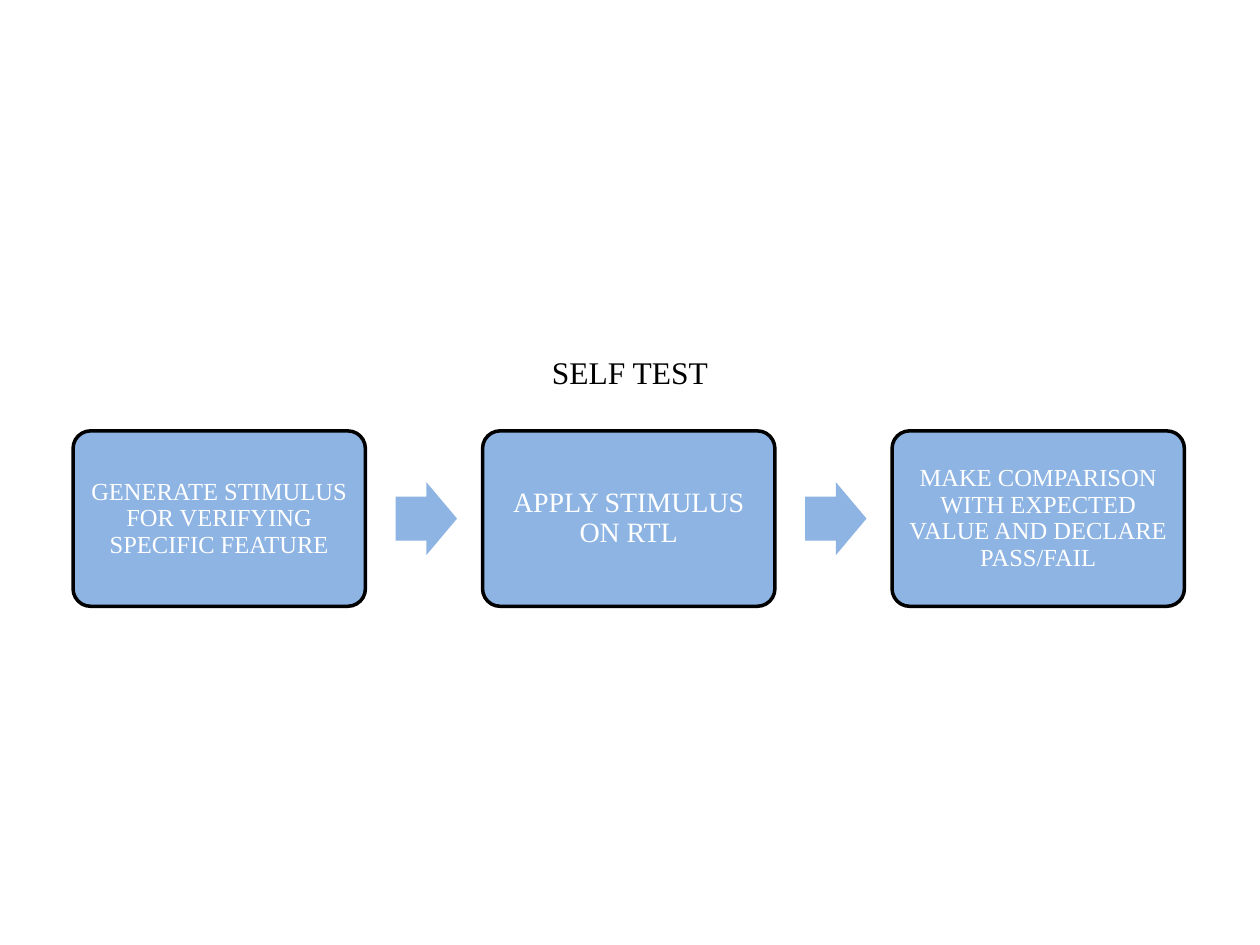
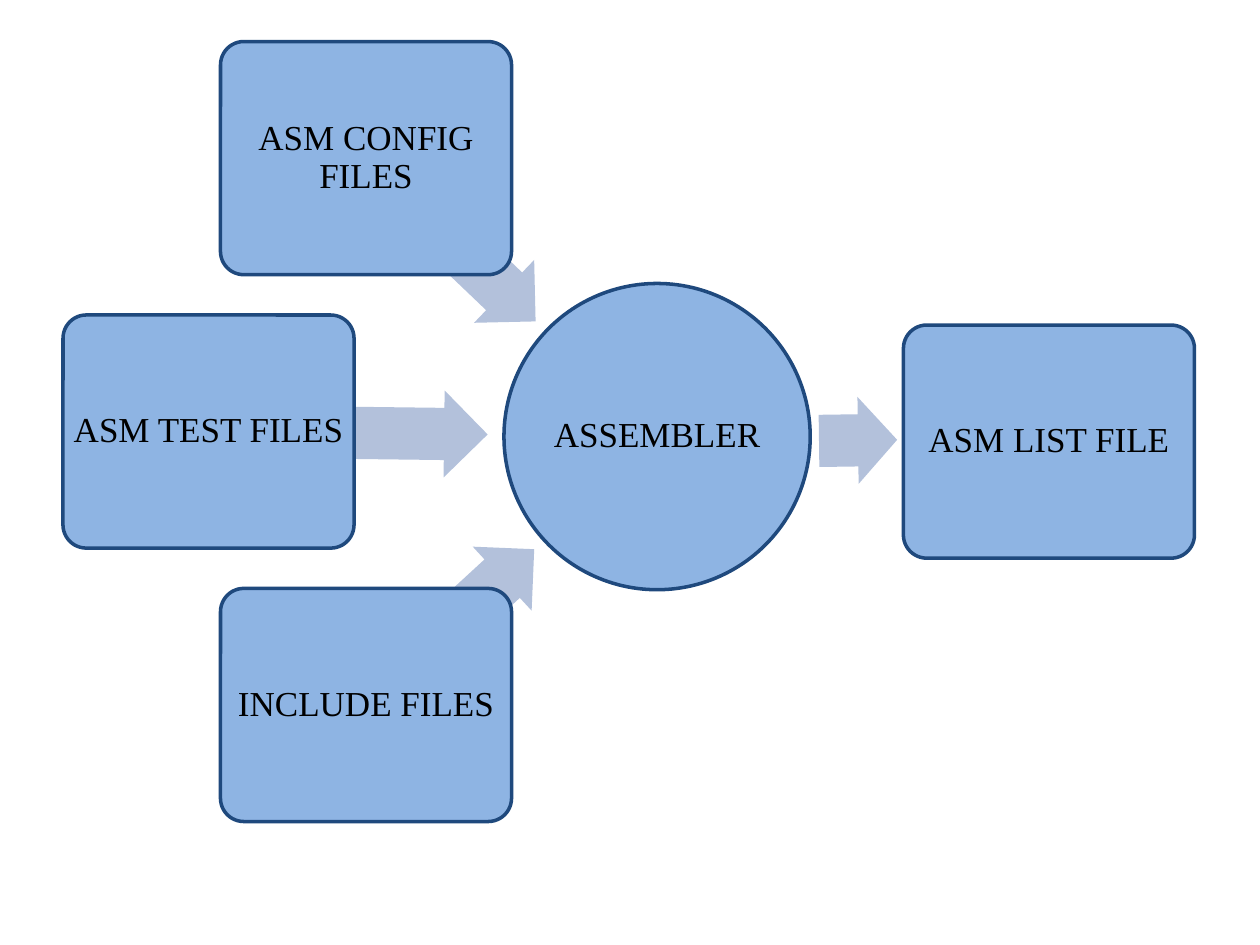
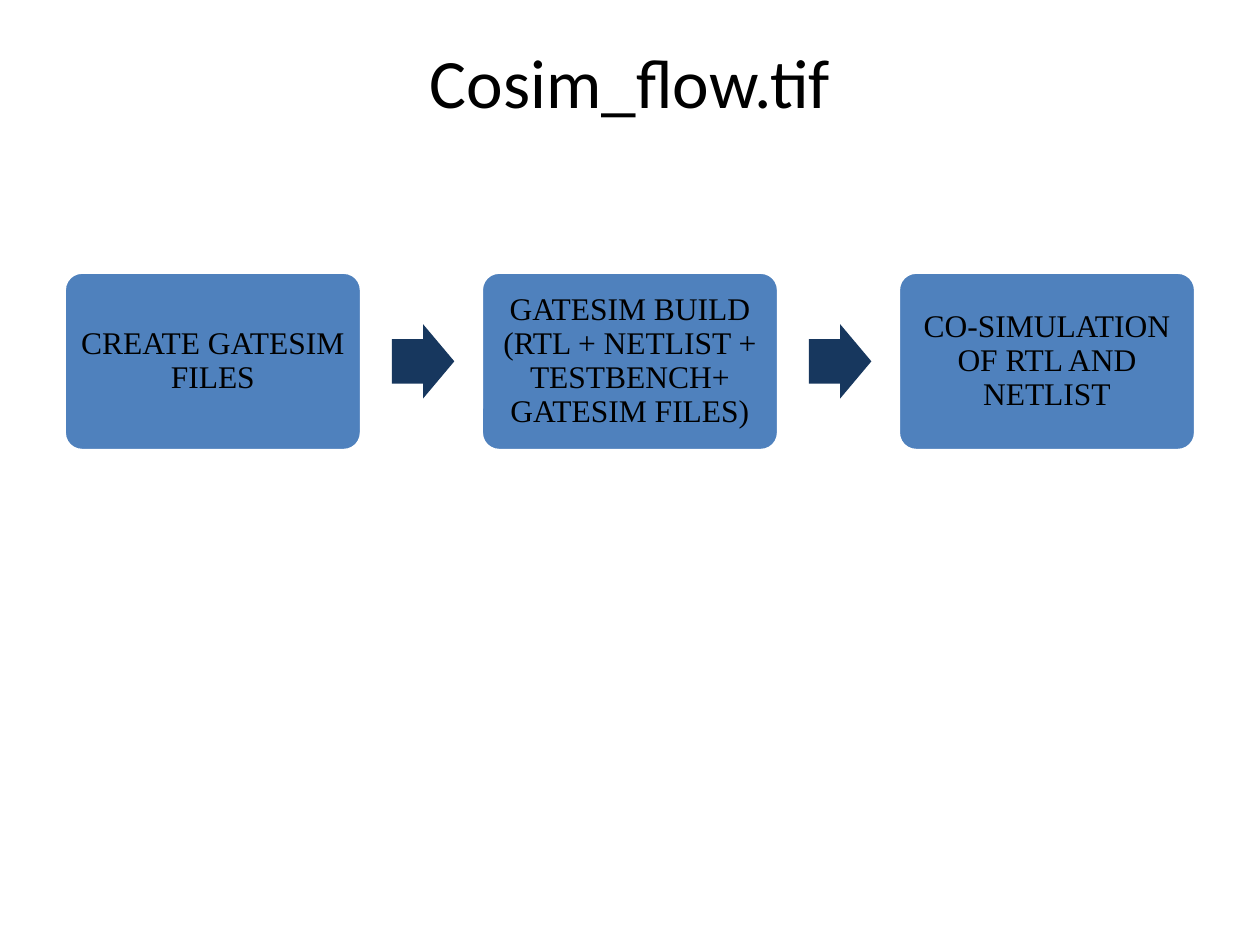
"""Build three flow diagrams: self test, assembler and co-simulation."""
from pptx import Presentation
from pptx.dml.color import RGBColor
from pptx.enum.shapes import MSO_SHAPE
from pptx.enum.text import MSO_ANCHOR, PP_ALIGN
from pptx.util import Pt

ROUNDED = MSO_SHAPE.ROUNDED_RECTANGLE
ELLIPSE = MSO_SHAPE.OVAL
ARROW = MSO_SHAPE.RIGHT_ARROW
MIDDLE = MSO_ANCHOR.MIDDLE
CENTER = PP_ALIGN.CENTER

BLACK, WHITE = "000000", "FFFFFF"
LIGHT_BLUE, BLUE, NAVY, DEEP_NAVY = "8EB4E3", "4F81BD", "1F497D", "17375E"
PALE_BLUE = "B3C1DB"
SERIF, SANS = "Times New Roman", "Calibri"
TITLE_ONLY, BLANK = 5, 6


def color(hex_string):
    return RGBColor.from_string(hex_string)


def add_block(page, kind, left, top, width, height, fill, line=None,
              text="", size=18, ink=BLACK, inset=0, rotation=0):
    block = page.shapes.add_shape(kind, Pt(left), Pt(top), Pt(width), Pt(height))
    block.shadow.inherit = False
    block.rotation = rotation
    block.fill.solid()
    block.fill.fore_color.rgb = color(fill)
    if kind == ROUNDED:
        block.adjustments[0] = 0.1
    if kind == ARROW:
        block.adjustments[0] = 0.6
        block.adjustments[1] = 0.5
    if line:
        block.line.color.rgb = color(line)
        block.line.width = Pt(2)
    else:
        block.line.fill.background()
    if text:
        frame = block.text_frame
        frame.word_wrap = True
        frame.vertical_anchor = MIDDLE
        frame.margin_left = frame.margin_right = Pt(inset)
        frame.margin_top = frame.margin_bottom = Pt(inset)
        para = frame.paragraphs[0]
        para.text = text
        para.alignment = CENTER
        para.line_spacing = 0.9
        para.font.name = SERIF
        para.font.size = Pt(size)
        para.font.color.rgb = color(ink)


deck = Presentation()
deck.slide_width = Pt(720)
deck.slide_height = Pt(540)
self_test = deck.slides.add_slide(deck.slide_layouts[BLANK])
assembler = deck.slides.add_slide(deck.slide_layouts[BLANK])
cosim = deck.slides.add_slide(deck.slide_layouts[TITLE_ONLY])

flows = [
    (self_test, 41.76, 246.24, 167.04, 234, LIGHT_BLUE, BLACK, LIGHT_BLUE, WHITE, [
        ("GENERATE STIMULUS FOR VERIFYING SPECIFIC FEATURE", 14),
        ("APPLY STIMULUS ON RTL", 16),
        ("MAKE COMPARISON WITH EXPECTED VALUE AND DECLARE PASS/FAIL", 14)]),
    (cosim, 36.72, 155.52, 169.92, 238.32, BLUE, WHITE, DEEP_NAVY, BLACK, [
        ("CREATE GATESIM FILES", 18),
        ("GATESIM BUILD (RTL + NETLIST + TESTBENCH+ GATESIM FILES)", 18),
        ("CO-SIMULATION OF RTL AND NETLIST", 18)]),
]
for page, first_left, top, width, step, fill, line, arrow_fill, ink, stages in flows:
    height = 0.6 * width
    arrow_width, arrow_height = 0.21 * width, 0.25 * width
    for index, (text, size) in enumerate(stages):
        left = first_left + index * step
        if index:
            add_block(page, ARROW, left - step + width + 17.28,
                      top + (height - arrow_height) / 2,
                      arrow_width, arrow_height, arrow_fill)
        add_block(page, ROUNDED, left, top, width, height, fill, line,
                  text, size, ink, inset=3)

caption = self_test.shapes.add_textbox(Pt(264), Pt(198), Pt(192), Pt(29))
caption.text_frame.word_wrap = True
para = caption.text_frame.paragraphs[0]
para.text = "SELF TEST"
para.alignment = CENTER
para.font.name = SERIF
para.font.size = Pt(18)
para.font.color.rgb = color(BLACK)

add_block(assembler, ELLIPSE, 288, 162, 175, 175, LIGHT_BLUE, NAVY, "ASSEMBLER", 20)
files = [
    ("INCLUDE FILES", 126, 336.24, (191.52, 333.36, 131.04, -42.6)),
    ("ASM TEST FILES", 36, 180, (118.8, 222.48, 159.84, 0.7)),
    ("ASM CONFIG FILES", 126, 23.76, (190.08, 112.32, 134.64, 43.7)),
    ("ASM LIST FILE", 516.24, 185.76, (468, 226.8, 44.64, -0.8)),
]
for text, left, top, (arrow_left, arrow_top, arrow_length, angle) in files:
    add_block(assembler, ARROW, arrow_left, arrow_top, arrow_length, 49.68,
              PALE_BLUE, rotation=angle)
    add_block(assembler, ROUNDED, left, top, 166.32, 133.2, LIGHT_BLUE, NAVY, text, 20)

title = cosim.shapes.title
title.left, title.top, title.width, title.height = Pt(36), Pt(21.6), Pt(648), Pt(49.68)
title.text_frame.vertical_anchor = MIDDLE
para = title.text_frame.paragraphs[0]
para.text = "Cosim_flow.tif"
para.alignment = CENTER
para.font.name = SANS
para.font.size = Pt(39.6)
para.font.color.rgb = color(BLACK)

deck.save("out.pptx")
